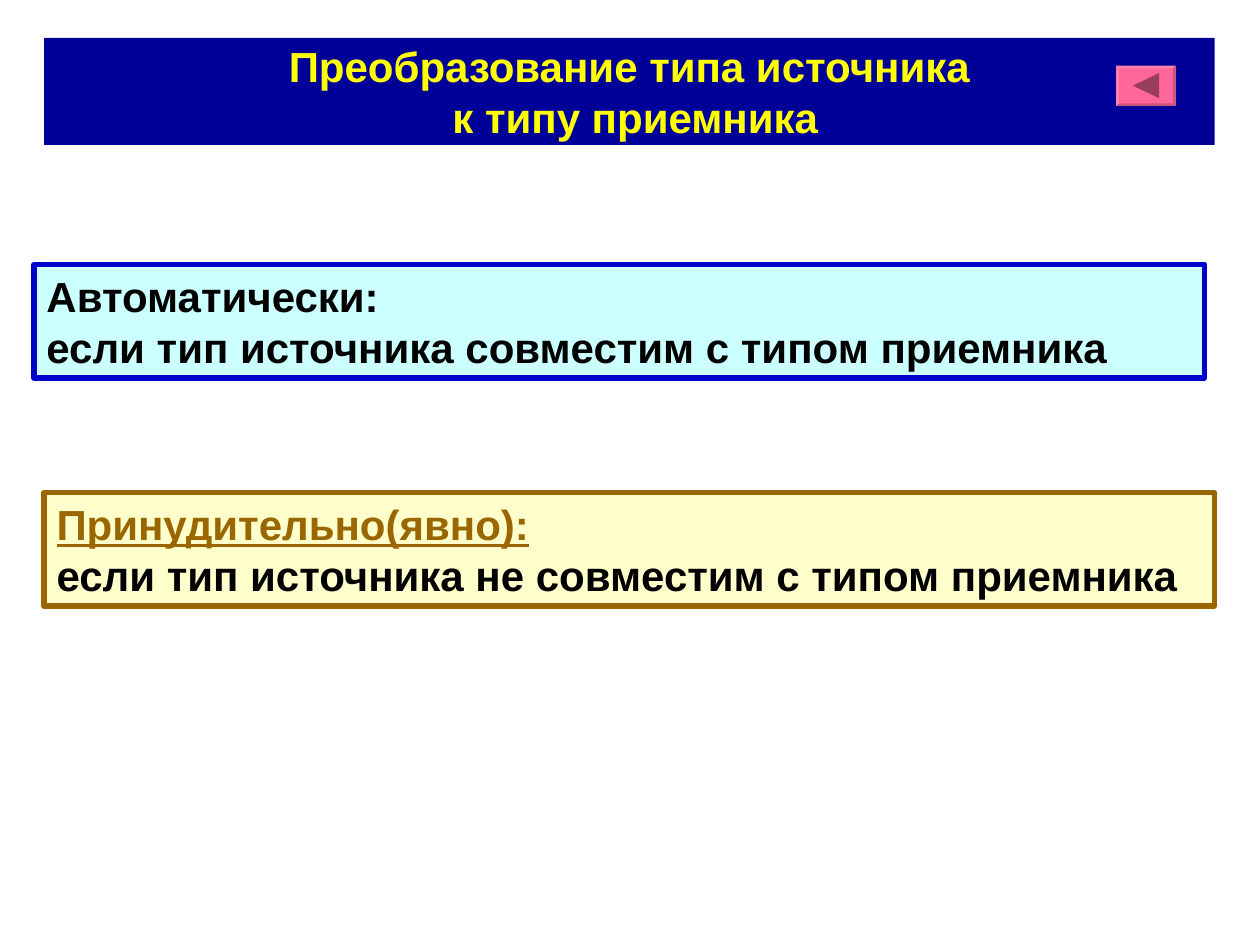
from dataclasses import dataclass

from pptx import Presentation
from pptx.dml.color import RGBColor
from pptx.enum import shapes, text
from pptx.util import Inches, Pt


@dataclass(frozen=True)
class Theme:
    font: str = "Arial"
    size: int = 24
    border: int = 3
    navy: str = "000099"
    yellow: str = "FFFF00"
    black: str = "000000"
    blue: str = "0000CC"
    cyan: str = "CCFFFF"
    brown: str = "996600"
    cream: str = "FFFFCC"
    pink: str = "FF6699"
    pink_light: str = "FF85AD"
    pink_dark: str = "CC527A"
    pink_deep: str = "993D5C"


theme = Theme()
deck = Presentation()
deck.slide_width, deck.slide_height = Inches(10), Inches(7.5)
page = deck.slides.add_slide(deck.slide_layouts[6])


def add_panel(left, top, height, fill, border, lines, align):
    """Add a filled text box; lines holds (wording, colour, underlined)."""
    box = page.shapes.add_textbox(Inches(left), Inches(top), Inches(9.29), Inches(height))
    box.fill.solid()
    box.fill.fore_color.rgb = RGBColor.from_string(fill)
    if border:
        box.line.color.rgb = RGBColor.from_string(border)
        box.line.width = Pt(theme.border)
    frame = box.text_frame
    frame.word_wrap = True
    frame.vertical_anchor = text.MSO_ANCHOR.MIDDLE
    for index, (wording, colour, underlined) in enumerate(lines):
        para = frame.paragraphs[0] if index == 0 else frame.add_paragraph()
        para.alignment = align
        span = para.add_run()
        span.text = wording
        span.font.name = theme.font
        span.font.size = Pt(theme.size)
        span.font.bold = True
        span.font.underline = underlined
        span.font.color.rgb = RGBColor.from_string(colour)


def add_polygon(points, fill):
    builder = page.shapes.build_freeform(Inches(points[0][0]), Inches(points[0][1]))
    builder.add_line_segments([(Inches(x), Inches(y)) for x, y in points[1:]], close=True)
    polygon = builder.convert_to_shape()
    polygon.shadow.inherit = False
    polygon.fill.solid()
    polygon.fill.fore_color.rgb = RGBColor.from_string(fill)
    polygon.line.fill.background()


# Title band
add_panel(0.35, 0.3, 0.85, theme.navy, None,
          [("Преобразование типа источника", theme.yellow, False),
           (" к типу приемника", theme.yellow, False)],
          text.PP_ALIGN.CENTER)

# Back button: face, four bevelled edges, arrow
left, top, right, bottom, bevel = 8.86, 0.52, 9.33, 0.84, 0.02
outer = [(left, top), (right, top), (right, bottom), (left, bottom)]
inner = [(left + bevel, top + bevel), (right - bevel, top + bevel),
         (right - bevel, bottom - bevel), (left + bevel, bottom - bevel)]
add_polygon(outer, theme.pink)
edge_colours = [theme.pink_light, theme.pink_dark, theme.pink_dark, theme.pink_light]
for side, colour in enumerate(edge_colours):
    following = (side + 1) % 4
    add_polygon([outer[side], outer[following], inner[following], inner[side]], colour)
add_polygon([(8.99, 0.68), (9.2, 0.58), (9.2, 0.78)], theme.pink_deep)

# The two kinds of conversion
add_panel(0.27, 2.1, 0.9, theme.cyan, theme.blue,
          [("Автоматически:", theme.black, False),
           ("если тип источника совместим с типом приемника", theme.black, False)],
          text.PP_ALIGN.LEFT)
add_panel(0.35, 3.91, 0.9, theme.cream, theme.brown,
          [("Принудительно(явно):", theme.brown, True),
           ("если тип источника не совместим с типом приемника", theme.black, False)],
          text.PP_ALIGN.LEFT)

deck.save("out.pptx")
